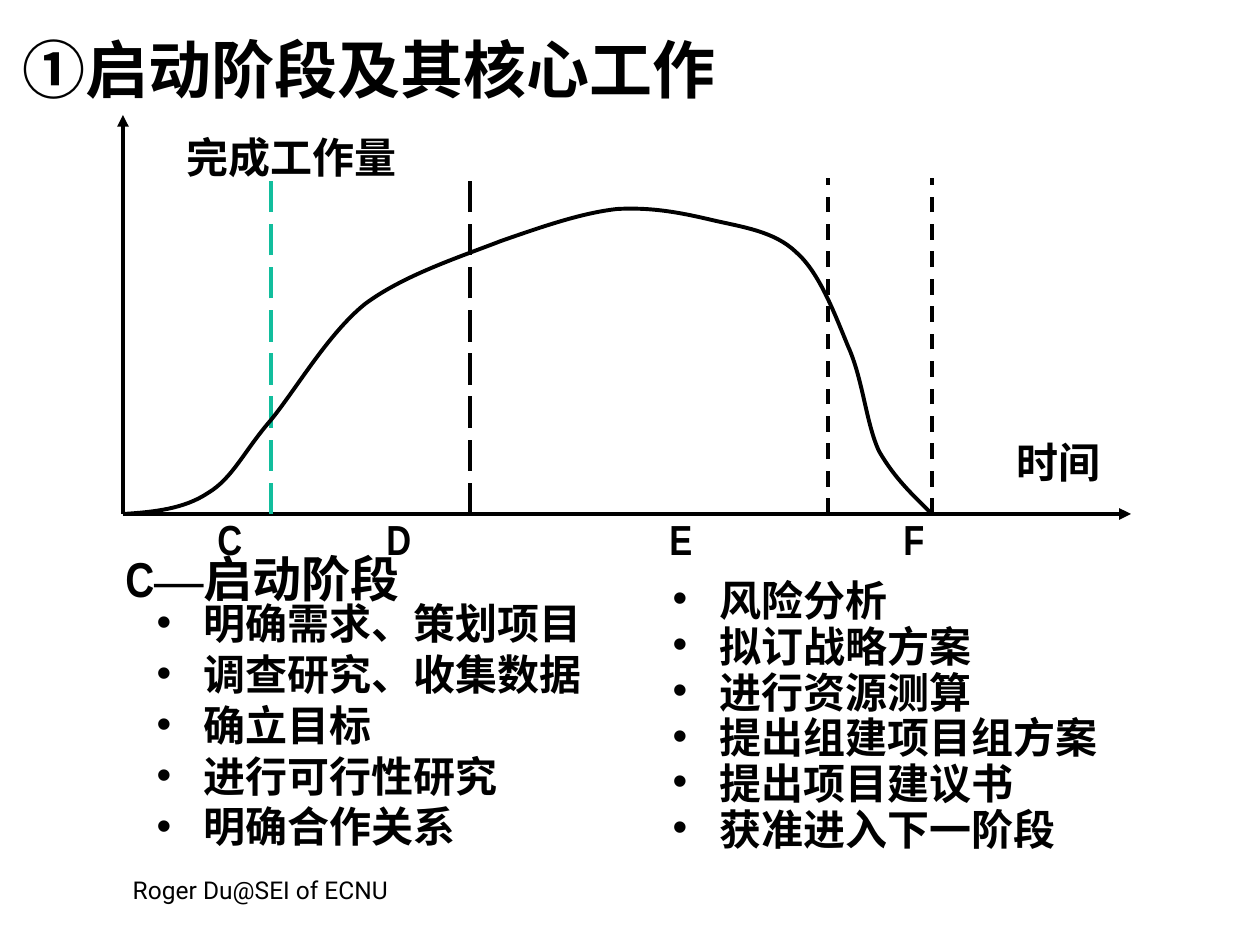
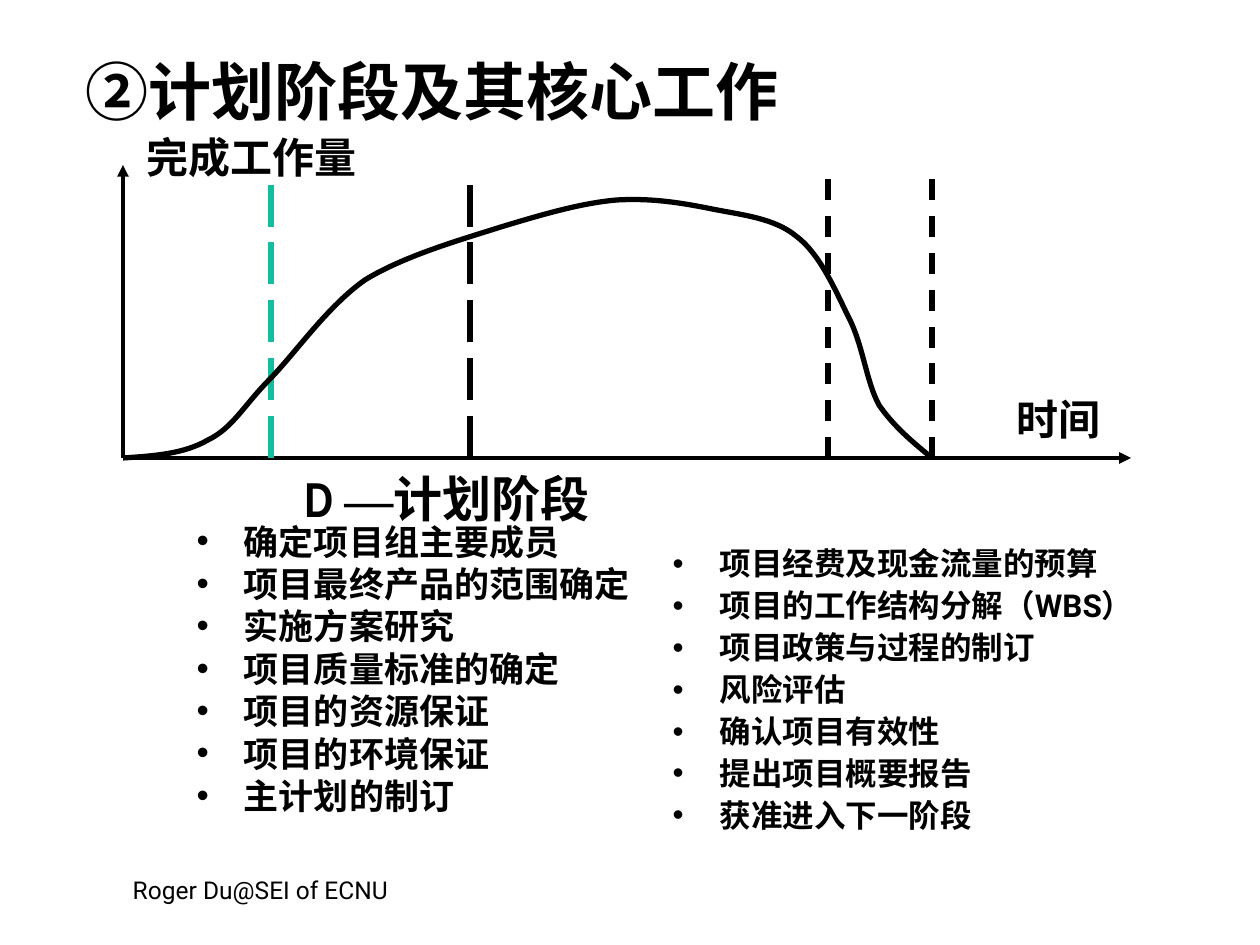
from lxml import etree
from pptx import Presentation
from pptx import util as u
from pptx.dml.color import RGBColor
from pptx.enum import dml, shapes, text
from pptx.oxml.ns import qn

EMU_PER_PX = 914400 / 126
COLORS = {"ink": "000000", "start": "12BE9D"}
CJK = "Noto Sans CJK SC"
NARROW = "Arial Narrow"
FOOTER = "Roger Du@SEI of ECNU"

# Workload curve: x and height above the time axis; knots and Bézier handles
CURVE = [
    (123, 0), (154, 2), (184, 5), (208, 21), (233, 36), (244, 63), (271, 94),
    (297, 126), (328, 180), (365, 210), (404, 239), (460, 257), (501, 273),
    (544, 288), (582, 301), (617, 305), (653, 307), (682, 301), (712, 294),
    (742, 287), (774, 283), (796, 262), (819, 242), (834, 202), (848, 168),
    (863, 135), (866, 91), (879, 63), (895, 35), (914, 18), (932, 0),
]
CURVE_HEIGHT = 307
AXIS_LEFT, AXIS_RIGHT = 123, 1131
PHASE_ENDS = [
    (271, "start", dml.MSO_LINE.LONG_DASH),
    (470, "ink", dml.MSO_LINE.LONG_DASH),
    (828, "ink", dml.MSO_LINE.DASH),
    (932, "ink", dml.MSO_LINE.DASH),
]

SLIDES = [
    {
        "title": "①启动阶段及其核心工作", "title_box": (10, 0, 1207, 136),
        "base": 514, "axis_top": 115, "marker_top": 178, "curve_height": 307,
        "weight": 2.25,
        "lists": [
            {"box": (144, 601, 525, 262), "size": 24, "leading": 0.8, "gap": 6,
             "font": "Roboto",
             "items": ["明确需求、策划项目", "调查研究、收集数据", "确立目标",
                       "进行可行性研究", "明确合作关系"]},
            {"box": (660, 582, 525, 305), "size": 24, "leading": 0.7, "gap": 6,
             "font": "Roboto",
             "items": ["风险分析", "拟订战略方案", "进行资源测算",
                       "提出组建项目组方案", "提出项目建议书", "获准进入下一阶段"]},
        ],
        "heading": [("C", NARROW), ("—", "Times New Roman"), ("启动阶段", NARROW)],
        "heading_box": (113, 542, 369, 72),
        "work_box": (174, 125, 255, 63), "work_font": NARROW,
        "time_box": (1004, 430, 129, 63),
        "phases": "C\tD\tE\tF",
    },
    {
        "title": "②计划阶段及其核心工作", "title_box": (73, 32, 1134, 116),
        "base": 458, "axis_top": 165, "marker_top": 175, "curve_height": 260,
        "weight": 3,
        "lists": [
            {"box": (184, 522, 577, 315), "size": 20, "leading": 0.8, "gap": 5,
             "font": "Roboto",
             "items": ["确定项目组主要成员", "项目最终产品的范围确定", "实施方案研究",
                       "项目质量标准的确定", "项目的资源保证", "项目的环境保证",
                       "主计划的制订"]},
            {"box": (660, 542, 525, 315), "size": 18, "leading": 0.9, "gap": 4.5,
             "font": "Roboto",
             "items": ["项目经费及现金流量的预算", "项目的工作结构分解（WBS）",
                       "项目政策与过程的制订", "风险评估", "确认项目有效性",
                       "提出项目概要报告", "获准进入下一阶段"]},
        ],
        "heading": [("D ", NARROW), ("—", "Times New Roman"), ("计划阶段", "Arial")],
        "heading_box": (292, 462, 328, 72),
        "work_box": (134, 125, 252, 63), "work_font": "Times New Roman",
        "time_box": (1004, 387, 129, 63),
        "phases": None,
    },
]


def px(*lengths):
    return [u.Emu(round(length * EMU_PER_PX)) for length in lengths]


def write(box, paragraphs, font=NARROW, size=24, bold=True, align="LEFT",
          leading=None, gap=0, tabs=()):
    """Fill a box; a paragraph is a string or a list of (text, font) pairs."""
    frame = box.text_frame
    frame.word_wrap = True
    frame.auto_size = text.MSO_AUTO_SIZE.NONE
    for index, content in enumerate(paragraphs):
        para = frame.add_paragraph() if index else frame.paragraphs[0]
        if tabs:
            stops = etree.SubElement(para._p.get_or_add_pPr(), qn("a:tabLst"))
            for stop in px(*tabs):
                etree.SubElement(stops, qn("a:tab"), pos=str(stop), algn="l")
        para.alignment = getattr(text.PP_ALIGN, align)
        para.space_before = u.Pt(gap if index else 0)
        if leading:
            para.line_spacing = leading
        spans = [(content, font)] if isinstance(content, str) else content
        for words, name in spans:
            span = para.add_run()
            span.text = words
            span.font.size = u.Pt(size)
            span.font.bold = bold
            span.font.color.rgb = RGBColor.from_string(COLORS["ink"])
            span.font.name = name
            etree.SubElement(span._r.get_or_add_rPr(), qn("a:ea"), typeface=CJK)


deck = Presentation()
deck.slide_width, deck.slide_height = px(1260, 945)

for content in SLIDES:
    page = deck.slides.add_slide(deck.slide_layouts.get_by_name("Two Content"))
    title, *bodies = page.placeholders
    base = content["base"]

    # Title and the two bullet lists
    title.left, title.top, title.width, title.height = px(*content["title_box"])
    write(title, [content["title"]], font=CJK, size=36)
    for body, bullets in zip(bodies, content["lists"]):
        body.left, body.top, body.width, body.height = px(*bullets["box"])
        write(body, bullets["items"], font=bullets["font"], size=bullets["size"],
              leading=bullets["leading"], gap=bullets["gap"])

    # Footer, phase heading and axis labels
    labels = [
        ((61, 869, 399, 47), FOOTER,
         {"font": "Roboto", "size": 14, "bold": False, "align": "CENTER"}),
        (content["heading_box"], content["heading"], {"size": 28}),
        (content["work_box"], "完成工作量", {"font": content["work_font"]}),
        (content["time_box"], "时间", {}),
    ]
    if content["phases"]:
        labels.append(((205, 507, 926, 63), content["phases"],
                       {"tabs": (169, 452, 686)}))
    for place, words, style in labels:
        write(page.shapes.add_textbox(*px(*place)), [words], **style)

    # Axes with arrowheads, then the dashed phase boundaries
    lines = [
        ((AXIS_LEFT, base, AXIS_LEFT, content["axis_top"]), "ink", None),
        ((AXIS_LEFT, base, AXIS_RIGHT, base), "ink", None),
    ]
    lines += [((x, base, x, content["marker_top"]), color, dash)
              for x, color, dash in PHASE_ENDS]
    for ends, color, dash in lines:
        line = page.shapes.add_connector(shapes.MSO_CONNECTOR.STRAIGHT, *px(*ends))
        line.line.color.rgb = RGBColor.from_string(COLORS[color])
        line.line.width = u.Pt(content["weight"] if dash else 2.25)
        properties = line.element.spPr
        if dash:
            line.line.dash_style = dash
        else:
            etree.SubElement(properties.find(qn("a:ln")), qn("a:tailEnd"),
                             type="triangle")
        etree.SubElement(properties, qn("a:effectLst"))

    # Workload curve: every three straight segments become one Bézier segment
    stretch = content["curve_height"] / CURVE_HEIGHT
    points = [(x, base - height * stretch) for x, height in CURVE]
    builder = page.shapes.build_freeform(*points[0], scale=EMU_PER_PX)
    builder.add_line_segments(points[1:], close=False)
    curve = builder.convert_to_shape()
    segments = list(curve.element.iter(qn("a:lnTo")))
    for start in range(0, len(segments), 3):
        first, *others = segments[start:start + 3]
        first.tag = qn("a:cubicBezTo")
        for other in others:
            first.append(other[0])
            other.getparent().remove(other)
    curve.fill.background()
    curve.line.color.rgb = RGBColor.from_string(COLORS["ink"])
    curve.line.width = u.Pt(content["weight"])
    curve.shadow.inherit = False

deck.save("out.pptx")
